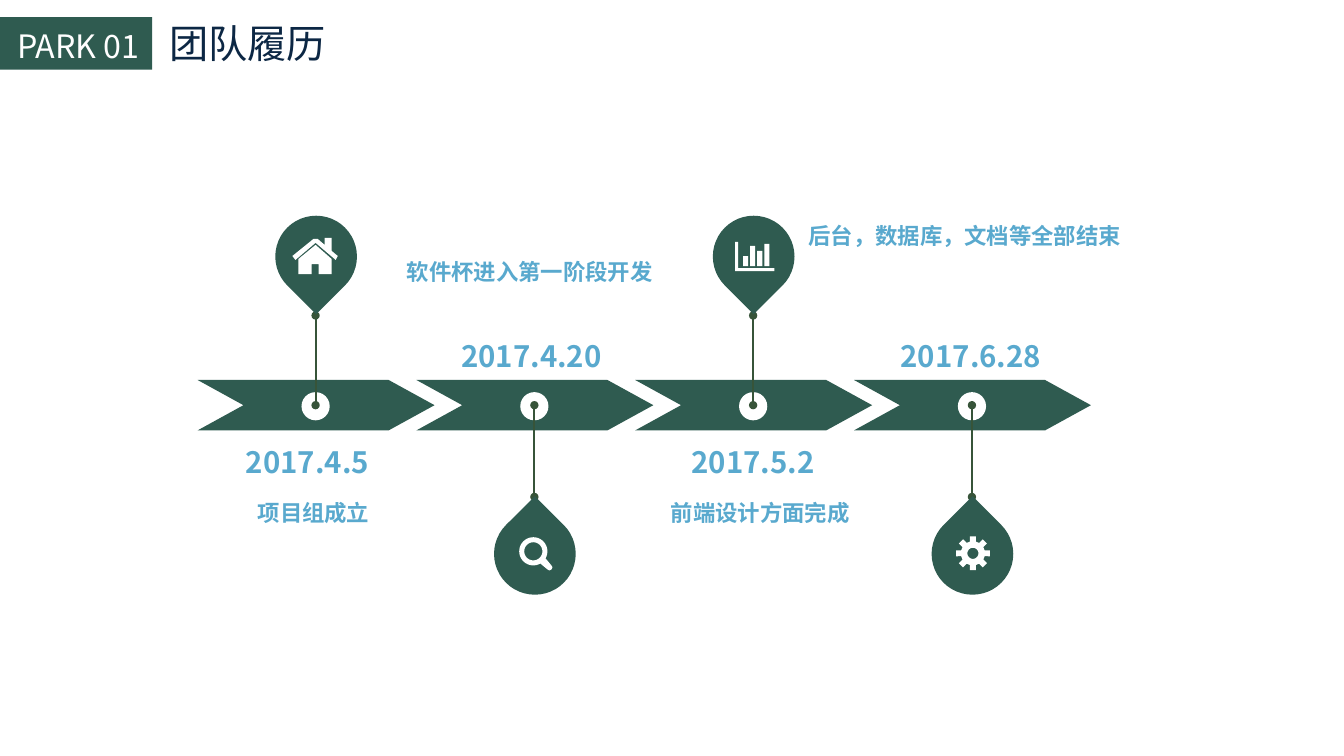
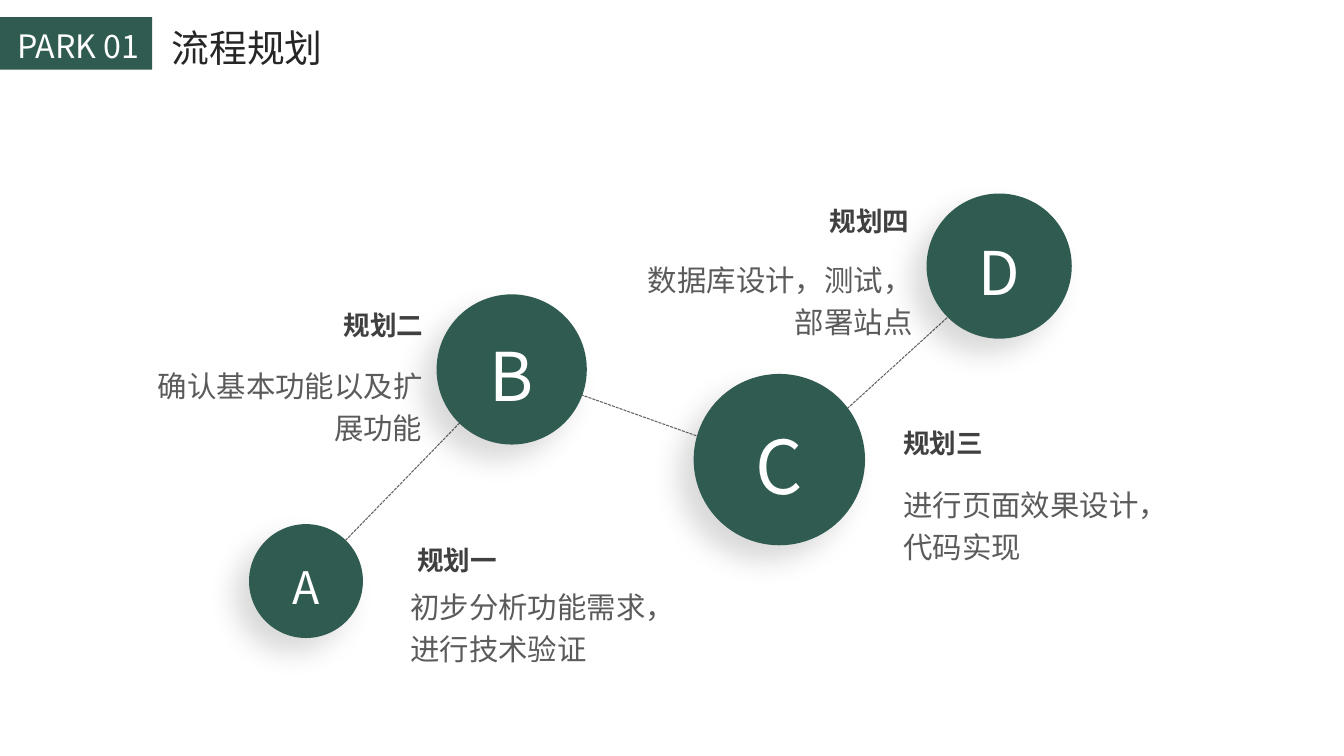
"""Build a two-slide deck: a team timeline and a four-step plan."""
import dataclasses
import itertools
import math

import lxml.etree
import pptx
import pptx.dml.color
import pptx.enum.dml
import pptx.enum.shapes
import pptx.enum.text
import pptx.oxml.ns
import pptx.util

SHAPE = pptx.enum.shapes.MSO_SHAPE
ALIGN = pptx.enum.text.PP_ALIGN
ANCHOR = pptx.enum.text.MSO_ANCHOR
EMU_PER_PX = 9144


@dataclasses.dataclass(frozen=True)
class Theme:
    font: str = "Noto Sans CJK SC"
    green: str = "2F5B50"
    stem: str = "375439"
    link: str = "626262"
    white: str = "FFFFFF"
    shadow: str = "000000"
    styles: dict = dataclasses.field(default_factory=lambda: {
        "label": (23, "FFFFFF", False),
        "history title": (28, "0C2744", False),
        "plan title": (27, "262626", False),
        "date": (21, "59A9CE", True),
        "event": (16, "59A9CE", True),
        "heading": (19, "404040", True),
        "body": (21, "5B5B5B", False),
        "A": (32, "FFFFFF", False),
        "B": (48, "FFFFFF", False),
        "C": (53, "FFFFFF", False),
        "D": (43, "FFFFFF", False),
    })


def px(length):
    return pptx.util.Emu(round(length * EMU_PER_PX))


def rgb(color):
    return pptx.dml.color.RGBColor.from_string(color)


def apply(target, values):
    for name, value in values.items():
        setattr(target, name, value)


def add_element(parent, tag, **attributes):
    return lxml.etree.SubElement(parent, pptx.oxml.ns.qn(tag), attributes)


def arc(center, radius, start, stop, steps=36):
    turns = [math.radians(start + (stop - start) * i / steps) for i in range(steps + 1)]
    return [(center[0] + radius * math.cos(t), center[1] + radius * math.sin(t))
            for t in turns]


def house_icon():
    roof = [(20, 4), (0, -13), (-20, 4), (-23, 0), (-2, -17), (2, -17),
            (9, -11), (9, -18), (16, -18), (16, -5), (22, 0)]
    walls = [(16, 18), (3, 18), (3, 8), (-4, 8), (-4, 18), (-17, 18),
             (-17, 3), (0, -11), (16, 3)]
    return [roof, walls]


def search_icon():
    handle = [(17, 12), (18, 14), (17, 16), (15, 17), (13, 16)]
    return [arc((-1, -2), 14, 60, 390) + handle, arc((-1, -2), 9, 0, 360)]


def chart_icon():
    axes = [(21, 15), (-18, 15), (-18, -14), (-15, -14), (-15, 12), (21, 12)]
    bars = [[(left, 10), (left, top), (left + 5, top), (left + 5, 10)]
            for left, top in [(-10, 0), (-3, -10), (4, -5), (11, -12)]]
    return [axes, *bars]


def gear_icon():
    corners = [(12, -14), (17, -10), (17, 10), (12, 14)]
    teeth = [arc((1, 0), radius, 45 * tooth + turn, 45 * tooth + turn, 1)[0]
             for tooth in range(8) for radius, turn in corners]
    return [teeth, arc((1, 0), 5.5, 0, 360)]


class Board:
    def __init__(self, theme):
        self.theme = theme
        self.deck = pptx.Presentation()
        apply(self.deck, {"slide_width": px(1333), "slide_height": px(750)})
        self.page = None
        self.canvas = None

    def start_page(self, title, style, at, **layout):
        self.page = self.deck.slides.add_slide(self.deck.slide_layouts[5])
        self.canvas = self.page.shapes
        band = self.shape(SHAPE.RECTANGLE, (0, 17, 151, 52), self.theme.green)
        self.put_text(band, "PARK 01", "label", insets=(17, 9, 0, 0), wrap=True)
        holder = self.page.shapes.title
        apply(holder, dict(zip(("left", "top", "width", "height"), map(px, at))))
        self.put_text(holder, title, style, **layout)

    def start_group(self):
        self.canvas = self.page.shapes.add_group_shape().shapes

    def put_text(self, box, text, style, align=ALIGN.LEFT, anchor=ANCHOR.TOP,
                 insets=(0, 0, 0, 0), wrap=False, spacing=1.0):
        frame = box.text_frame
        sides = ("margin_left", "margin_top", "margin_right", "margin_bottom")
        apply(frame, dict(zip(sides, map(px, insets))))
        apply(frame, {"auto_size": pptx.enum.text.MSO_AUTO_SIZE.NONE,
                      "word_wrap": wrap, "vertical_anchor": anchor})
        para = frame.paragraphs[0]
        apply(para, {"alignment": align, "line_spacing": spacing})
        span = para.add_run()
        span.text = text
        size, color, bold = self.theme.styles[style]
        apply(span.font, {"size": pptx.util.Pt(size), "bold": bold,
                          "name": self.theme.font})
        span.font.color.rgb = rgb(color)
        add_element(span._r.get_or_add_rPr(), "a:ea", typeface=self.theme.font)

    def text(self, at, text, style, **layout):
        self.put_text(self.canvas.add_textbox(*map(px, at)), text, style, **layout)

    def paint(self, shape, color):
        shape.shadow.inherit = False
        shape.fill.solid()
        shape.fill.fore_color.rgb = rgb(color)
        shape.line.fill.background()
        return shape

    def shape(self, kind, at, color, rotation=0, adjustments=()):
        shape = self.paint(self.canvas.add_shape(kind, *map(px, at)), color)
        shape.rotation = rotation
        for index, value in enumerate(adjustments):
            shape.adjustments[index] = value
        return shape

    def cast_shadow(self, shape):
        effects = shape._element.spPr.find(pptx.oxml.ns.qn("a:effectLst"))
        shadow = add_element(effects, "a:outerShdw", blurRad=str(pptx.util.Pt(20)),
                             dist=str(pptx.util.Pt(15)), dir=str(135 * 60000),
                             algn="tr", rotWithShape="0")
        color = add_element(shadow, "a:srgbClr", val=self.theme.shadow)
        add_element(color, "a:alpha", val="15000")

    def line(self, start, end, color, width, dash=None):
        line = self.canvas.add_connector(pptx.enum.shapes.MSO_CONNECTOR.STRAIGHT,
                                         *map(px, (*start, *end)))
        apply(line.line, {"width": pptx.util.Pt(width), "dash_style": dash})
        line.line.color.rgb = rgb(color)
        outline = line._element.spPr.find(pptx.oxml.ns.qn("a:ln"))
        for tag in ("a:headEnd", "a:tailEnd"):
            add_element(outline, tag, type="oval")
        add_element(line._element.spPr, "a:effectLst")

    def icon(self, center, contours):
        placed = [[(px(center[0] + x), px(center[1] + y)) for x, y in contour]
                  for contour in contours]
        builder = self.canvas.build_freeform(*placed[0][0], scale=1.0)
        for index, contour in enumerate(placed):
            if index:
                builder.move_to(*contour[0])
            builder.add_line_segments(contour[1:], close=True)
        self.paint(builder.convert_to_shape(), self.theme.white)


def build_history(board):
    theme = board.theme
    board.start_page("团队履历", "history title", (159, 14, 176, 57),
                     insets=(9, 5, 9, 5))
    milestones = [
        ("2017.4.5", (242, 441, 126, 35), "项目组成立", (255, 495, 112, 27), house_icon),
        ("2017.4.20", (455, 335, 144, 35), "软件杯进入第一阶段开发",
         (402, 256, 247, 27), search_icon),
        ("2017.5.2", (684, 441, 126, 35), "前端设计方面完成",
         (664, 495, 180, 27), chart_icon),
        ("2017.6.28", (891, 335, 144, 35), "后台，数据库，文档等全部结束",
         (800, 220, 314, 27), gear_icon),
    ]
    for index, (date, date_at, event, event_at, icon) in enumerate(milestones):
        left = 196 + 217 * index
        middle = left + 117
        pin_y, stem_y, rotation = (549, 493, 315) if index % 2 else (254, 313, 135)
        board.start_group()
        board.shape(SHAPE.NOTCHED_RIGHT_ARROW, (left, 377, 235, 50), theme.green,
                    adjustments=(1, 0.91))
        board.shape(SHAPE.OVAL, (middle - 14, 389, 28, 28), theme.white)
        board.line((middle, stem_y), (middle, 402), theme.stem, 1.5)
        board.shape(SHAPE.TEAR, (middle - 40, pin_y - 40, 81, 81), theme.green, rotation)
        board.icon((middle, pin_y), icon())
        board.text(date_at, date, "date", align=ALIGN.CENTER, anchor=ANCHOR.MIDDLE)
        board.text(event_at, event, "event", align=ALIGN.CENTER)


def build_plan(board):
    theme = board.theme
    insets = (13, 7, 13, 7)
    board.start_page("流程规划", "plan title", (157, 11, 178, 63),
                     anchor=ANCHOR.MIDDLE, insets=insets, spacing=1.2)
    joints = [(303, 577), (507, 367), (777, 463), (1022, 240)]
    for start, end in itertools.pairwise(joints):
        board.line(start, end, theme.link, 0.75, pptx.enum.dml.MSO_LINE.SQUARE_DOT)
    steps = [
        ("A", (247, 520), 113, "规划一", (401, 533),
         "初步分析功能需求，进行技术验证", (394, 570), ALIGN.LEFT),
        ("B", (433, 292), 149, "规划二", (179, 299),
         "确认基本功能以及扩展功能", (118, 351), ALIGN.RIGHT),
        ("C", (688, 371), 170, "规划三", (883, 417),
         "进行页面效果设计，代码实现", (883, 469), ALIGN.LEFT),
        ("D", (919, 192), 144, "规划四", (661, 196),
         "数据库设计，测试，部署站点", (604, 246), ALIGN.RIGHT),
    ]
    for letter, corner, size, heading, heading_at, body, body_at, align in steps:
        circle = board.shape(SHAPE.OVAL, (*corner, size, size), theme.green)
        board.cast_shadow(circle)
        board.put_text(circle, letter, letter, align=ALIGN.CENTER,
                       anchor=ANCHOR.MIDDLE, insets=(0, 10, 0, 0), wrap=True)
        board.text((*heading_at, 254, 45), heading, "heading", align=align,
                   insets=insets, wrap=True)
        board.text((*body_at, 314, 98), body, "body", align=align,
                   insets=insets, wrap=True, spacing=1.2)


def main():
    board = Board(Theme())
    build_history(board)
    build_plan(board)
    board.deck.save("out.pptx")


if __name__ == "__main__":
    main()
